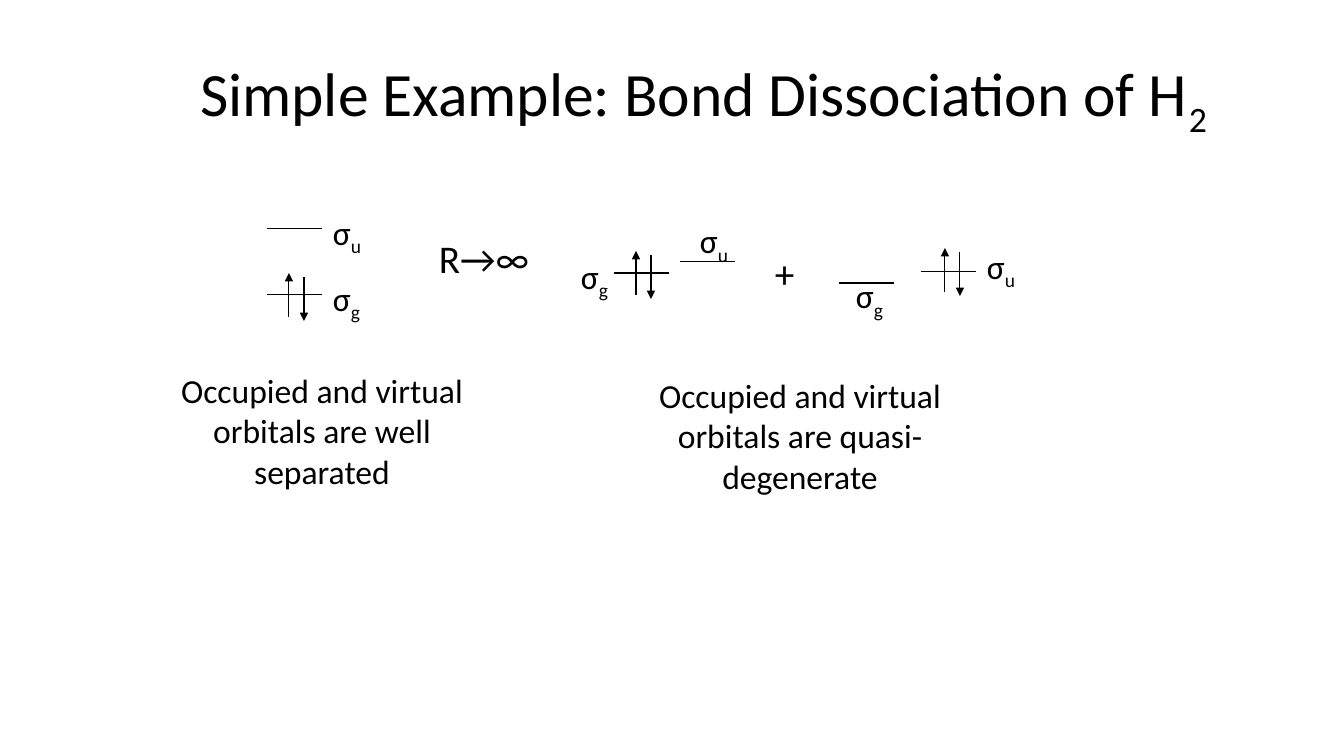
from lxml.etree import SubElement
from pptx import Presentation
from pptx.dml.color import RGBColor
from pptx.enum.shapes import MSO_CONNECTOR
from pptx.enum.text import MSO_ANCHOR, PP_ALIGN
from pptx.oxml.ns import qn
from pptx.util import Emu, Pt

SCALE = 914400 / 100.8
LEVEL_WIDTH = 55
INK = "000000"


def px(length):
    return Emu(round(length * SCALE))


def color(hex_text):
    return RGBColor.from_string(hex_text)


def add_text(page, box, text, size, subscript="", align=PP_ALIGN.LEFT,
             anchor=MSO_ANCHOR.TOP, spacing=1.0):
    frame = page.shapes.add_textbox(*map(px, box)).text_frame
    frame.word_wrap = True
    frame.vertical_anchor = anchor
    para = frame.paragraphs[0]
    para.alignment = align
    para.line_spacing = spacing
    para.font.name = "Calibri"
    para.font.size = Pt(size)
    para.font.color.rgb = color(INK)
    for part, baseline in ((text, None), (subscript, "-25000")):
        if part:
            span = para.add_run()
            span.text = part
            if baseline:
                span.font._element.set("baseline", baseline)


def add_line(page, start, end, arrow=False):
    line = page.shapes.add_connector(MSO_CONNECTOR.STRAIGHT,
                                     *map(px, (*start, *end)))
    line.line.color.rgb = color(INK)
    line.line.width = Pt(0.75)
    properties = line._element.spPr
    if arrow:
        SubElement(properties.find(qn("a:ln")), qn("a:tailEnd"), type="triangle")
    SubElement(properties, qn("a:effectLst"))


def add_electron_pair(page, left, middle):
    add_line(page, (left, middle + 22), (left, middle - 22), arrow=True)
    add_line(page, (left + 15, middle - 18), (left + 15, middle + 26), arrow=True)


def add_state(page, corner, levels, labels, pair):
    """Place two orbital levels, their labels (g, u) and one electron pair."""
    left, top = corner
    for x, y in levels:
        add_line(page, (left + x, top + y), (left + x + LEVEL_WIDTH, top + y))
    add_electron_pair(page, left + pair[0], top + pair[1])
    for symmetry, (x, y) in zip("gu", labels):
        add_text(page, (left + x, top + y, 68, 66), "σ", 24, symmetry)


def add_title(page, box):
    add_text(page, box, "Simple Example: Bond Dissociation of H", 44, "2",
             PP_ALIGN.CENTER, MSO_ANCHOR.MIDDLE, 0.9)


def add_diagram(page, box):
    left, top = box[:2]
    # Bound molecule
    add_state(page, (left, top), levels=((0, 88), (0, 22)),
              labels=((56, 66), (56, 0)), pair=(22, 88))
    # Dissociation limit: sum of two configurations
    add_text(page, (left + 162, top + 22, 143, 76), "R→∞", 28)
    add_state(page, (left + 304, top + 8), levels=((43, 58), (109, 47)),
              labels=((0, 36), (119, 0)), pair=(65, 58))
    add_text(page, (left + 498, top + 37, 41, 57), "+", 28)
    add_state(page, (left + 572, top + 34), levels=((0, 42), (82, 31)),
              labels=((7, 29), (138, 0)), pair=(106, 29))


def add_caption(page, box, ending):
    add_text(page, box, f"Occupied and virtual orbitals are {ending}", 24,
             align=PP_ALIGN.CENTER)


deck = Presentation()
deck.slide_width, deck.slide_height = px(1344), px(756)
page = deck.slides.add_slide(deck.slide_layouts[6])
page.background.fill.solid()
page.background.fill.fore_color.rgb = color("FFFFFF")

add_title(page, (124, 21, 1159, 146))
add_diagram(page, (267, 207, 780, 133))
add_caption(page, (157, 365, 330, 132), "well separated")
add_caption(page, (635, 370, 330, 132), "quasi-degenerate")

deck.save("out.pptx")
